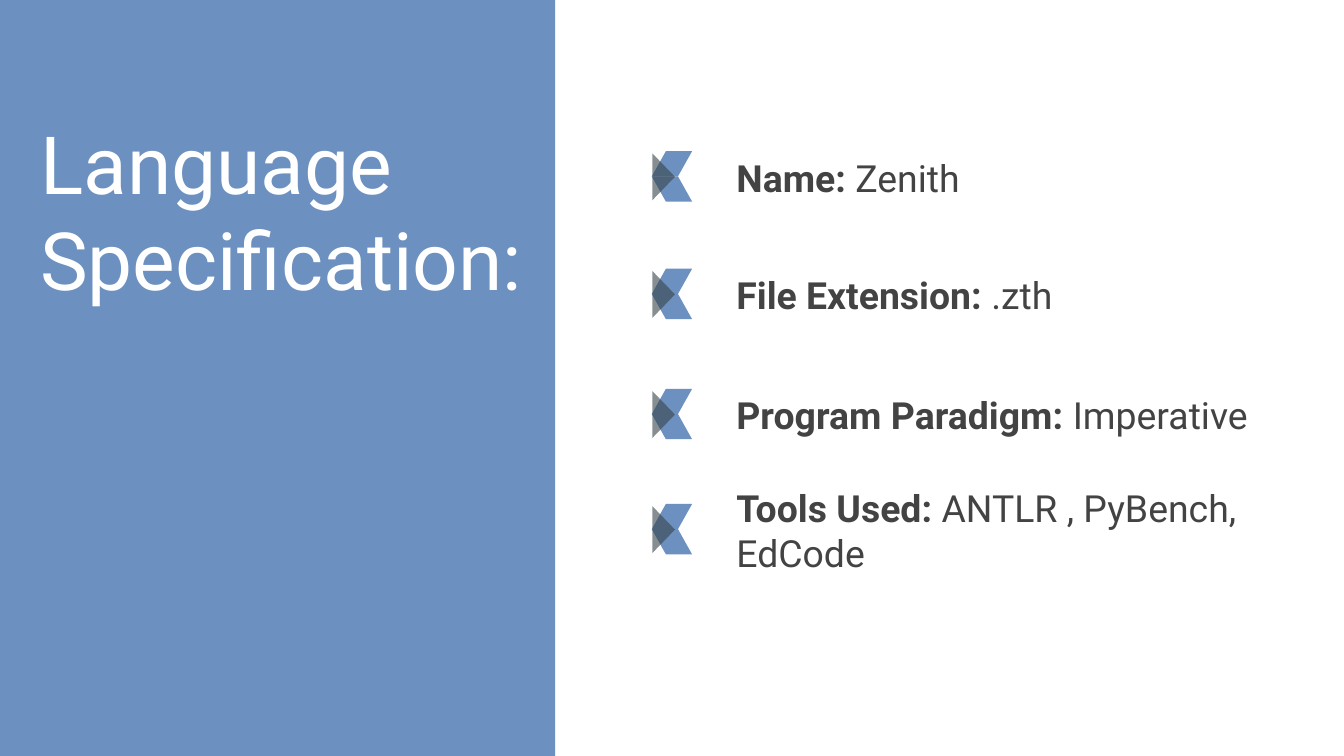
from dataclasses import dataclass

from lxml.etree import SubElement
from pptx import Presentation
from pptx.dml.color import RGBColor as Rgb
from pptx.enum.shapes import MSO_SHAPE as Shape
from pptx.enum.text import MSO_ANCHOR as Anchor, MSO_AUTO_SIZE as AutoSize, PP_ALIGN as Align
from pptx.oxml.ns import qn
from pptx.util import Emu, Pt

EMU_PER_PX = 5715
SLIDE_WIDTH, SLIDE_HEIGHT = 1600, 900
INSET = 16
FACT_LEFT, FACT_HEIGHT = 861, 82
ICON_LEFT, ICON_DROP = 776, 10
FACTS = [
    (170, 616, "Name:", " Zenith"),
    (310, 616, "File Extension:", " .zth"),
    (453, 739, "Program Paradigm: ", "Imperative"),
    (590, 739, "Tools Used:", " ANTLR , PyBench, EdCode"),
]


@dataclass(frozen=True)
class Theme:
    """Colours, opacities in percent, font and type sizes."""
    blue: str = "5E85B9"
    blue_opacity: int = 91
    slate: str = "38444A"
    slate_opacity: int = 60
    white: str = "FFFFFF"
    ink: str = "434343"
    font: str = "Roboto"
    title_size: int = 43
    fact_size: int = 20


THEME = Theme()


def px(*lengths):
    """Turn lengths in px into EMU."""
    return [Emu(length * EMU_PER_PX) for length in lengths]


def add_tinted(shapes, preset, box, color, opacity):
    """Add a borderless preset shape with a translucent fill."""
    tinted = shapes.add_shape(preset, *px(*box))
    tinted.shadow.inherit = False
    tinted.line.fill.background()
    tinted.fill.solid()
    tinted.fill.fore_color.rgb = Rgb.from_string(color)
    tint = tinted._element.spPr.find(qn("a:solidFill"))[0]
    SubElement(tint, qn("a:alpha"), val=str(opacity * 1000))
    return tinted


def format_text(frame, anchor, size, color):
    """Set insets, wrapping, anchor and font of a text frame."""
    frame.word_wrap = True
    frame.auto_size = AutoSize.NONE
    frame.vertical_anchor = anchor
    frame.margin_left, frame.margin_top, frame.margin_right, frame.margin_bottom = px(*[INSET] * 4)
    for paragraph in frame.paragraphs:
        paragraph.alignment = Align.LEFT
        paragraph.font.name = THEME.font
        paragraph.font.size = Pt(size)
        paragraph.font.color.rgb = Rgb.from_string(color)


def set_title(slide, wording):
    """Place and format the title over the blue panel."""
    title = slide.shapes.title
    title.left, title.top, title.width, title.height = px(32, 120, 627, 309)
    title.text_frame.text = wording
    format_text(title.text_frame, Anchor.TOP, THEME.title_size, THEME.white)


def add_icon(slide, left, top):
    """Add a grouped chevron with a dark arrowhead at its left."""
    parts = slide.shapes.add_group_shape().shapes
    for half in range(2):
        wing = add_tinted(parts, Shape.PARALLELOGRAM, (left, top + 30 * half, 48, 30),
                          THEME.blue, THEME.blue_opacity)
        wing.adjustments[0] = 0.56
        if half:
            wing._element.spPr.find(qn("a:xfrm")).set("flipH", "1")
    arrowhead = add_tinted(parts, Shape.ISOSCELES_TRIANGLE, (left - 14, top + 17, 56, 27),
                           THEME.slate, THEME.slate_opacity)
    arrowhead.rotation = 90


def add_fact(slide, top, width, label, detail):
    """Add a bold label followed by its detail."""
    frame = slide.shapes.add_textbox(*px(FACT_LEFT, top, width, FACT_HEIGHT)).text_frame
    paragraph = frame.paragraphs[0]
    for wording, bold in ((label, True), (detail, False)):
        run = paragraph.add_run()
        run.text = wording
        run.font.bold = bold
    format_text(frame, Anchor.MIDDLE, THEME.fact_size, THEME.ink)


def main():
    """Build the language specification slide."""
    deck = Presentation()
    deck.slide_width, deck.slide_height = px(SLIDE_WIDTH, SLIDE_HEIGHT)
    slide = deck.slides.add_slide(deck.slide_layouts[5])
    panel = add_tinted(slide.shapes, Shape.RECTANGLE, (0, 0, 661, SLIDE_HEIGHT),
                       THEME.blue, THEME.blue_opacity)
    slide.shapes.title._element.addprevious(panel._element)
    set_title(slide, "Language Specification:")
    for top, width, label, detail in FACTS:
        add_icon(slide, ICON_LEFT, top + ICON_DROP)
        add_fact(slide, top, width, label, detail)
    deck.save("out.pptx")


if __name__ == "__main__":
    main()
